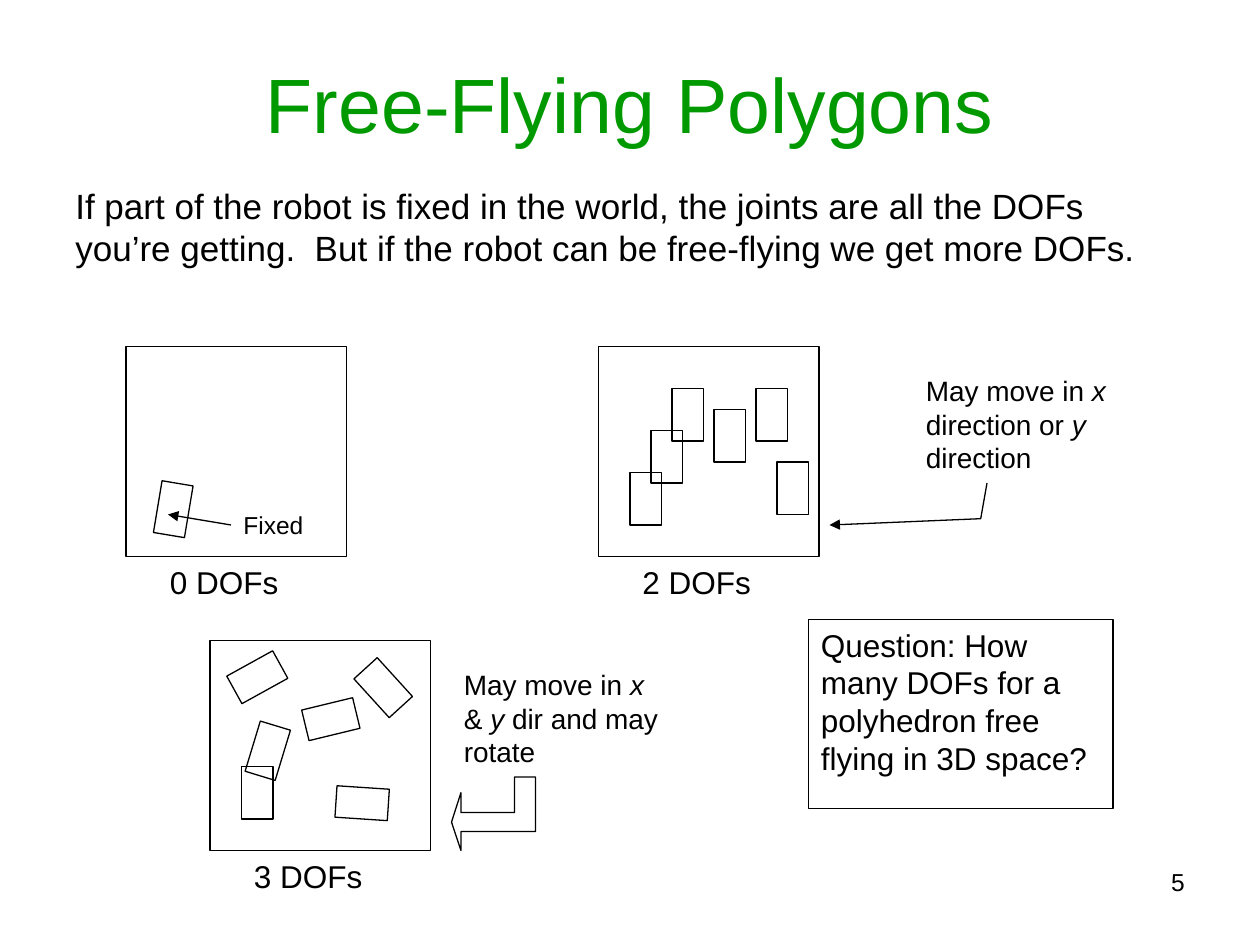
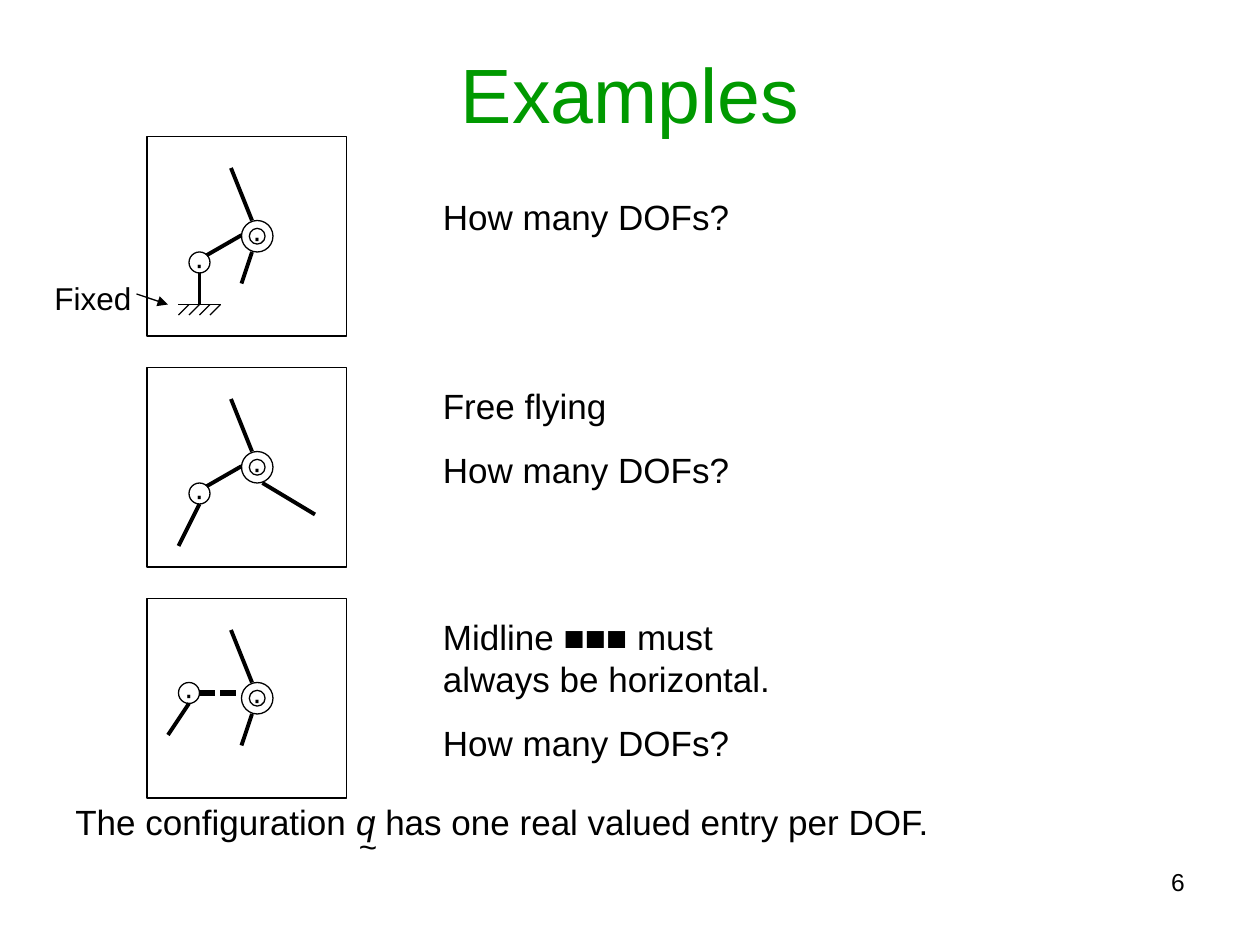
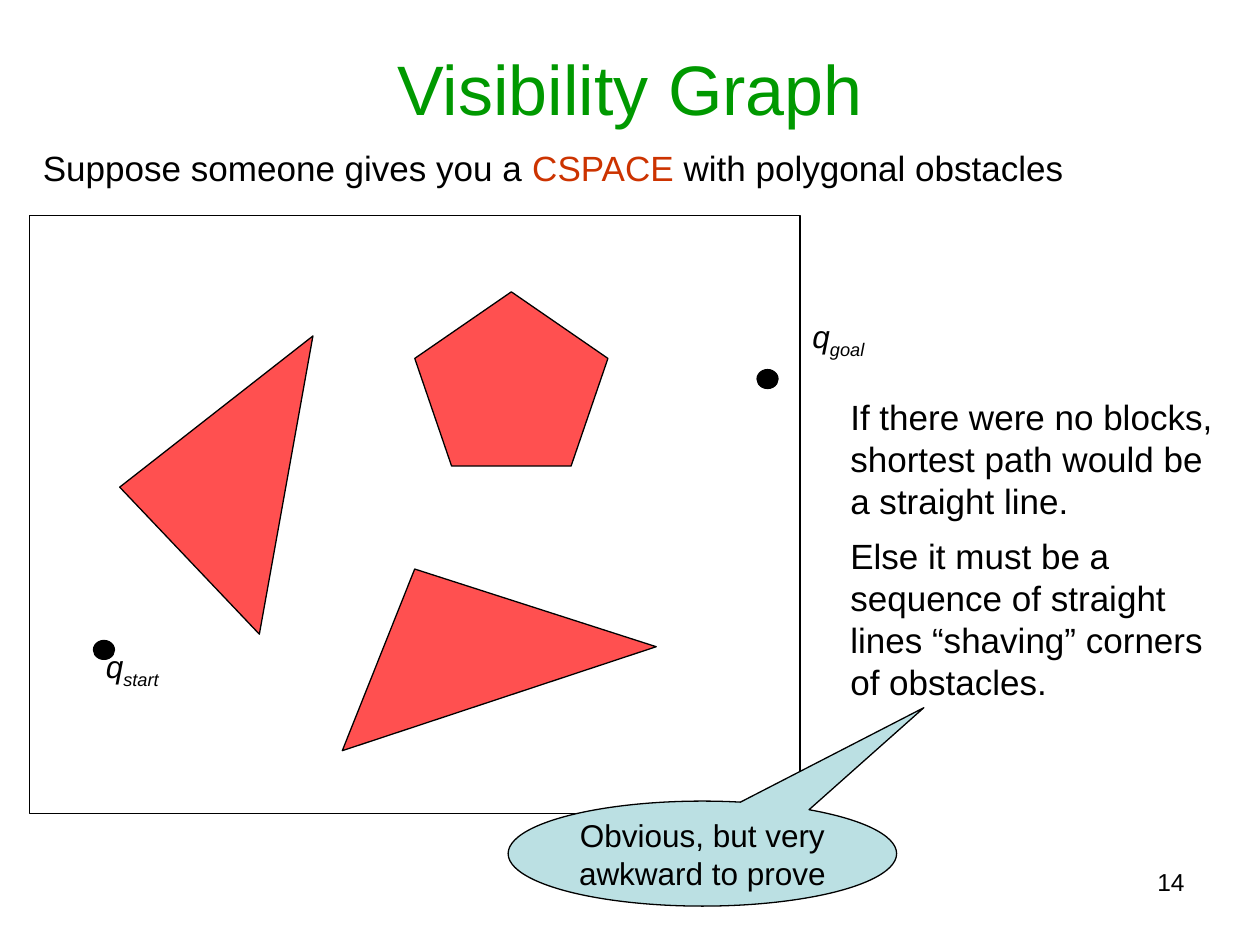
from lxml import etree
from pptx import Presentation
from pptx.dml.color import RGBColor
from pptx.enum.dml import MSO_LINE
from pptx.enum.shapes import MSO_CONNECTOR, MSO_SHAPE
from pptx.enum.text import MSO_ANCHOR, PP_ALIGN
from pptx.oxml.ns import qn
from pptx.util import Cm, Pt

RECTANGLE = MSO_SHAPE.RECTANGLE
DONUT = MSO_SHAPE.DONUT
CIRCLE = MSO_SHAPE.FLOWCHART_CONNECTOR
PENTAGON = MSO_SHAPE.REGULAR_PENTAGON
CALLOUT = MSO_SHAPE.OVAL_CALLOUT
STRAIGHT = MSO_CONNECTOR.STRAIGHT
DOTTED = MSO_LINE.SQUARE_DOT
TOP, MIDDLE = MSO_ANCHOR.TOP, MSO_ANCHOR.MIDDLE
LEFT, CENTER, RIGHT = PP_ALIGN.LEFT, PP_ALIGN.CENTER, PP_ALIGN.RIGHT

FONT = "Arial"
COLORS = {
    "ink": "000000",
    "title": "009900",
    "obstacle": "FF5050",
    "accent": "CC3300",
    "callout": "BBE0E3",
}
RGB = {name: RGBColor.from_string(value) for name, value in COLORS.items()}
ITALIC = {"italic": True}
BOLD = {"bold": True}
THIN, THICK = 0.75, 2.25
CELL = 2.54 / 12  # the slides are laid out on a grid of 120 by 90 cells


def add_box(page, preset, at, paragraphs=(), size=18, fill=None, color="ink",
            align=LEFT, before=0, anchor=TOP, wrap=True):
    """Add a preset shape, or a text box if preset is None, placed in cells.

    Each paragraph is a list of (text, font format) pairs.
    """
    place = [Cm(value * CELL) for value in at]
    if preset is None:
        box = page.shapes.add_textbox(*place)
    else:
        box = page.shapes.add_shape(preset, *place)
        box.shadow.inherit = False
        box.line.color.rgb = RGB["ink"]
        box.line.width = Pt(THIN)
        if fill:
            box.fill.solid()
            box.fill.fore_color.rgb = RGB[fill]
        else:
            box.fill.background()
    frame = box.text_frame
    frame.word_wrap = wrap
    frame.vertical_anchor = anchor
    for index, spans in enumerate(paragraphs):
        para = frame.add_paragraph() if index else frame.paragraphs[0]
        para.alignment = align
        para.space_before = Pt(before)
        for text, style in spans:
            span = para.add_run()
            span.text = text
            span.font.color.rgb = RGB[color]
            values = {"name": FONT, "size": Pt(size), "bold": False, "italic": False}
            for name, value in {**values, **style}.items():
                setattr(span.font, name, value)
    return box


def add_line(page, start, end, width=THIN, arrow=False):
    ends = [Cm(value * CELL) for value in (*start, *end)]
    line = page.shapes.add_connector(STRAIGHT, *ends)
    line.line.color.rgb = RGB["ink"]
    line.line.width = Pt(width)
    properties = line._element.spPr
    if arrow:
        etree.SubElement(properties.find(qn("a:ln")), qn("a:tailEnd"), type="triangle")
    etree.SubElement(properties, qn("a:effectLst"))
    return line


deck = Presentation()
deck.slide_width, deck.slide_height = Cm(25.4), Cm(19.05)
blank = deck.slide_layouts[6]
polygons, examples, visibility = [deck.slides.add_slide(blank) for _ in range(3)]

# Free outlines: page, closed, fill, corners
outlines = [
    (polygons, False, None, [(94, 46), (93.4, 49.4), (79, 50)]),
    (polygons, True, None, [(49, 74), (49, 77.4), (43.9, 77.4), (43.9, 75.5), (43, 78.3),
                            (43.9, 81), (43.9, 79.2), (51, 79.2), (51, 74)]),
    (visibility, True, "obstacle", [(32.6, 71.5), (39.5, 54.2), (62.5, 61.6)]),
    (visibility, True, "obstacle", [(11.4, 46.4), (29.8, 32), (24.7, 60.4)]),
]
for page, closed, fill, corners in outlines:
    points = [(Cm(x * CELL), Cm(y * CELL)) for x, y in corners]
    builder = page.shapes.build_freeform(*points[0])
    builder.add_line_segments(points[1:], close=closed)
    outline = builder.convert_to_shape()
    outline.shadow.inherit = False
    outline.line.color.rgb = RGB["ink"]
    outline.line.width = Pt(THIN)
    if fill:
        outline.fill.solid()
        outline.fill.fore_color.rgb = RGB[fill]
    else:
        outline.fill.background()
    if not closed:
        etree.SubElement(outline._element.spPr.find(qn("a:ln")), qn("a:tailEnd"),
                         type="triangle")

# Titles and page numbers
for page, title, height, size, number in [
    (polygons, "Free-Flying Polygons", 12.4, 44, "5"),
    (examples, "Examples", 10.4, 44, "6"),
    (visibility, "Visibility Graph", 9.4, 40, "14"),
]:
    add_box(page, None, (6, 3.6, 108, height), [[(title, {})]], size,
            color="title", align=CENTER, anchor=MIDDLE)
    add_box(page, None, (58, 82, 56, 6.2), [[(number, {})]], 14, align=RIGHT)

# Free-flying polygons
add_box(polygons, None, (6, 17, 108, 11), [[(
    "If part of the robot is fixed in the world, the joints are all the DOFs you’re getting.  "
    "But if the robot can be free-flying we get more DOFs.", {})]], 20, before=5)

worlds = [
    ("0 DOFs", 12, 33, [(15, 46, 9.5)]),
    ("2 DOFs", 57, 33, [(60, 45, 0), (62, 41, 0), (64, 37, 0),
                        (68, 39, 0), (72, 37, 0), (74, 44, 0)]),
    ("3 DOFs", 20, 61, [(23, 73, 0), (24, 69, 16.9), (30, 66, 76.4),
                        (23, 62, 61.1), (33, 74, 273.8), (35, 63, 317.7)]),
]
for caption, left, top, robots in worlds:
    add_box(polygons, RECTANGLE, (left, top, 21, 20))
    for x, y, angle in robots:
        add_box(polygons, RECTANGLE, (x, y, 3, 5)).rotation = angle
    add_box(polygons, None, (left + 3, top + 20, 16, 4.8), [[(caption, {})]], before=11.2)

add_box(polygons, None, (22, 48, 11, 4), [[("Fixed", {})]], 14, before=8.8)
add_line(polygons, (22, 50), (16, 49), arrow=True)
for at, spans in [
    ((87, 35, 22, 10.8), [("May move in ", {}), ("x", ITALIC), (" direction or ", {}),
                          ("y", ITALIC), (" direction", {})]),
    ((43, 63, 21, 10.8), [("May move in ", {}), ("x", ITALIC), (" & ", {}),
                          ("y", ITALIC), (" dir and may rotate", {})]),
]:
    add_box(polygons, None, at, [spans], 16, before=10)
add_box(polygons, RECTANGLE, (77, 59, 29, 18), [[(
    "Question: How many DOFs for a polyhedron free flying in 3D space?", {})]])

# Examples: panel top, small joint, and limbs, measured from the panel's corner
panel_left = 14
upper_limb = ((8, 3), (10, 8))
lower_limb = ((10, 11), (9, 14))
arm = ((5.7, 11.3), (9, 9.4))
question = [("How many DOFs?", {})]
panels = [
    (13, (4, 11), [upper_limb, lower_limb, arm, ((5, 13), (5, 16))]),
    (35, (4, 11), [upper_limb, arm, ((5, 13), (3, 17)), ((11, 11), (16, 14))]),
    (57, (3, 8), [upper_limb, lower_limb, ((4, 10), (2, 13))]),
]
for top, (joint_x, joint_y), limbs in panels:
    add_box(examples, RECTANGLE, (panel_left, top, 19, 19))
    for preset, x, y, side in [(DONUT, 9, 8, 3), (CIRCLE, joint_x, joint_y, 2)]:
        add_box(examples, preset, (panel_left + x, top + y, side, side), [[("·", {})]],
                align=CENTER, anchor=MIDDLE, wrap=False)
    for (x1, y1), (x2, y2) in limbs:
        add_line(examples, (panel_left + x1, top + y1), (panel_left + x2, top + y2), THICK)

add_line(examples, (21, 29), (17, 29))
for x in range(18, 22):
    add_line(examples, (x, 29), (x - 1, 30))
add_line(examples, (19, 66), (23, 66), 3).line.dash_style = DOTTED
add_box(examples, None, (4, 26, 10, 4.8), [[("Fixed", {})]], before=11.2)
add_line(examples, (13, 28), (16, 29), arrow=True)

for top, height, paragraphs in [
    (18, 5.3, [question]),
    (36, 11.3, [[("Free flying", {})], question]),
    (58, 15.4, [[("Midline", {}), (" ■■■ ", BOLD), ("must always be horizontal.", {})],
                question]),
]:
    add_box(examples, None, (41, top, 39, height), paragraphs, 20, before=12.5)
add_box(examples, None, (6, 75.6, 108, 5.4), [[
    ("The configuration ", {}), ("q", ITALIC),
    (" has one real valued entry per DOF.", {})]], 20, before=5)
add_box(examples, None, (33, 78.2, 2.4, 4.8), [[("~", {})]], before=11.2)

# Visibility graph
intro = add_box(visibility, None, (2.9, 13.4, 112, 5.3), [[
    ("Suppose someone gives you a ", {}), ("CSPACE", {}),
    (" with polygonal obstacles", {})]], 20, before=12.5)
intro.text_frame.paragraphs[0].runs[1].font.color.rgb = RGB["accent"]
add_box(visibility, None, (79.8, 37.1, 37.3, 30.5), [
    [("If there were no blocks, shortest path would be a straight line.", {})],
    [("Else it must be a sequence of straight lines “shaving” corners of obstacles.", {})],
], 20, before=7.5)
add_box(visibility, RECTANGLE, (2.8, 20.5, 73.4, 57))
add_box(visibility, PENTAGON, (39.5, 27.8, 18.4, 16.6), fill="obstacle")
for name, dot, label_at in [
    ("start", (8.9, 61), (8.9, 61)),
    ("goal", (72.1, 35.2), (76.2, 29.6)),
]:
    add_box(visibility, CIRCLE, (*dot, 2, 1.8), fill="ink")
    label = add_box(visibility, None, (*label_at, 20.4, 5.3),
                    [[("q", ITALIC), (name, ITALIC)]], before=11.2)
    subscript = label.text_frame.paragraphs[0].runs[1]
    subscript._r.get_or_add_rPr().set("baseline", "-25000")
remark = add_box(visibility, CALLOUT, (48.4, 76.3, 37, 10),
                 [[("Obvious, but very awkward to prove", {})]],
                 fill="callout", align=CENTER, anchor=MIDDLE)
remark.adjustments[0], remark.adjustments[1] = 0.57, -1.39

deck.save("out.pptx")
